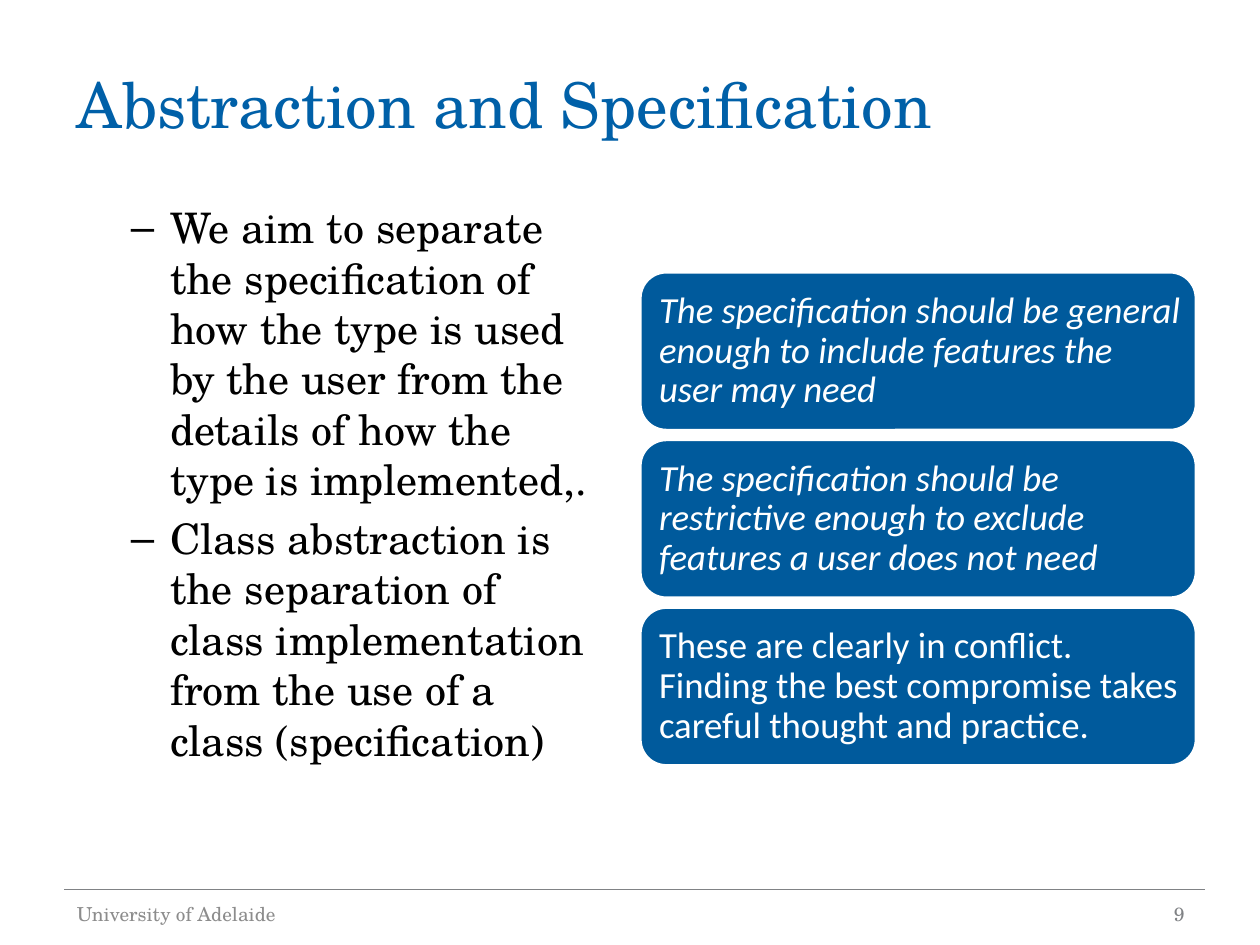
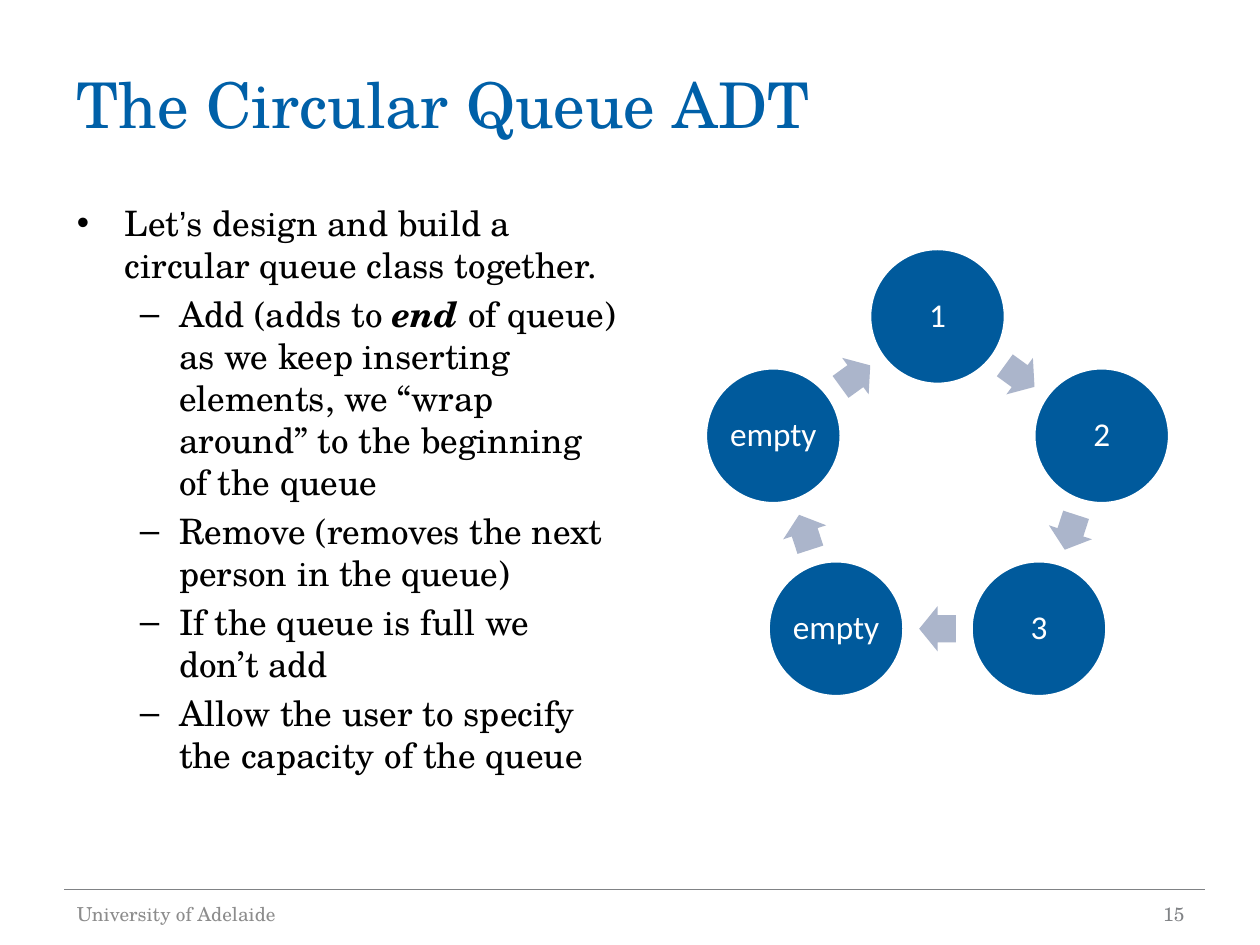
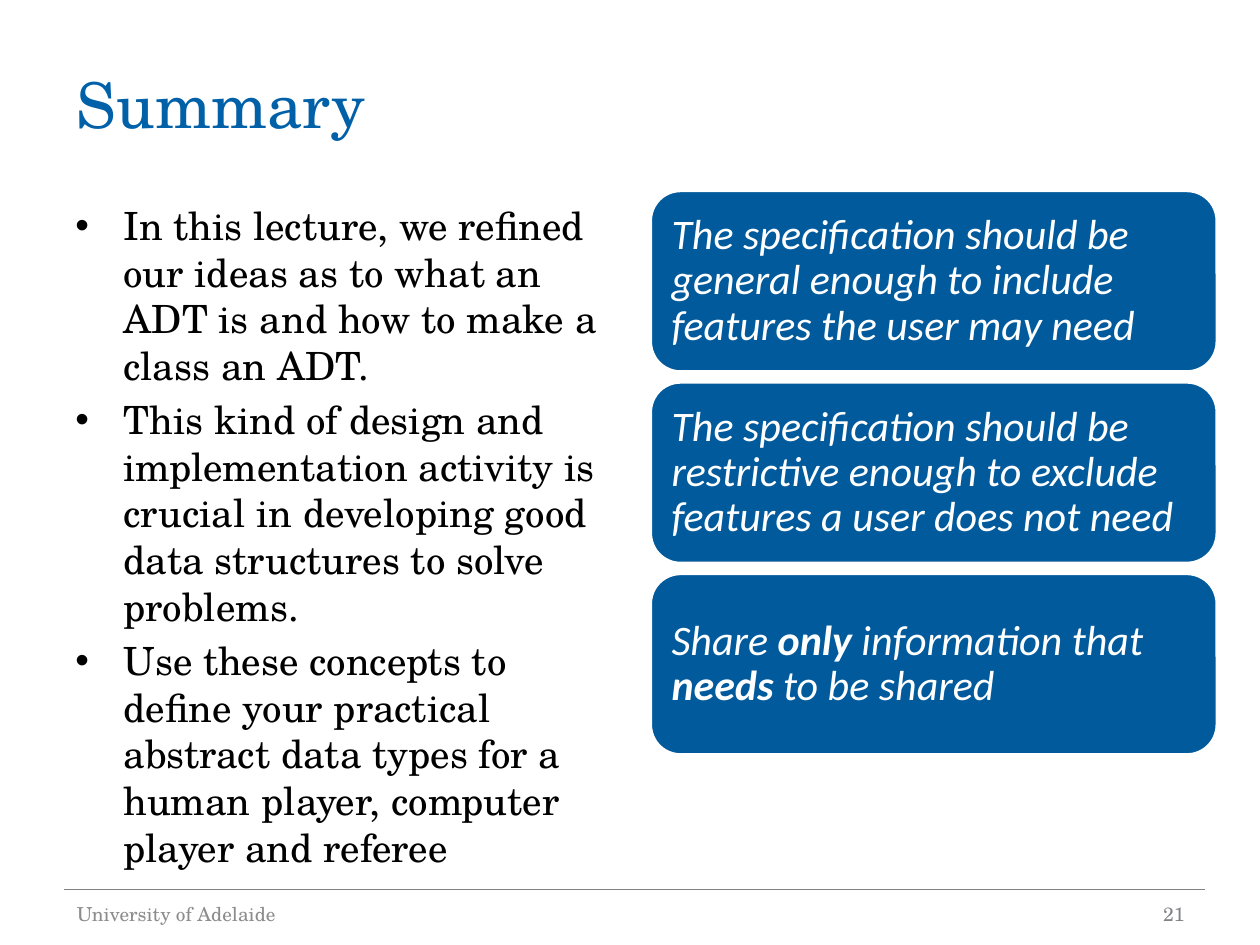
import dataclasses
import math

import pptx
import pptx.dml.color
import pptx.enum.shapes
import pptx.enum.text
import pptx.util
from lxml import etree

Cm = pptx.util.Cm
Pt = pptx.util.Pt
Shape = pptx.enum.shapes.MSO_SHAPE
Align = pptx.enum.text.PP_ALIGN
Anchor = pptx.enum.text.MSO_ANCHOR
A = "{http://schemas.openxmlformats.org/drawingml/2006/main}"


def color(code):
    return pptx.dml.color.RGBColor.from_string(code)


@dataclasses.dataclass(frozen=True)
class Theme:
    serif: str = "TeX Gyre Schola"
    sans: str = "Calibri"
    quote: str = "Arial"
    title: str = "0060A8"
    fill: str = "005A9C"
    arrow: str = "ABB5CB"
    rule: str = "808285"
    foot: str = "8C8C8C"
    ink: str = "000000"
    white: str = "FFFFFF"
    head: float = 36
    small: float = 11
    node: float = 19
    edge: float = 2
    tight: float = 0.9


LEVELS = {"•": (0.97, -0.97), "–": (2.06, -0.79)}


class Deck:
    def __init__(self, theme):
        self.theme = theme
        self.show = pptx.Presentation()
        self.show.slide_width = Cm(25.4)
        self.show.slide_height = Cm(19.05)
        self.slide = None

    def page(self, title, number):
        t = self.theme
        self.slide = self.show.slides.add_slide(self.show.slide_layouts[6])
        self.rule(1.3, 24.3, 17.93)
        self.label(title, (1.3, 0.91, 22.86, 2.36), t.head, t.title)
        self.label("University of Adelaide", (1.3, 17.91, 8.05, 1.02), t.small, t.foot)
        self.label(number, (18.21, 17.91, 5.92, 1.02), t.small, t.rule, Align.RIGHT)

    def rule(self, left, right, top):
        kind = pptx.enum.shapes.MSO_CONNECTOR.STRAIGHT
        line = self.slide.shapes.add_connector(kind, Cm(left), Cm(top), Cm(right), Cm(top))
        line.line.color.rgb = color(self.theme.rule)
        line.line.width = Pt(0.75)
        etree.SubElement(line._element.spPr, A + "effectLst")

    def frame(self, box):
        frame = self.slide.shapes.add_textbox(*map(Cm, box)).text_frame
        frame.word_wrap = True
        return frame

    def fill(self, para, runs, size, ink, face):
        for text, marks in runs:
            run = para.add_run()
            run.text = text
            font = run.font
            font.size = Pt(size)
            font.name = self.theme.quote if "q" in marks else face
            font.color.rgb = color(ink)
            font.bold = "b" in marks
            font.italic = "i" in marks

    def label(self, text, box, size, ink, align=Align.LEFT):
        frame = self.frame(box)
        frame.vertical_anchor = Anchor.MIDDLE
        para = frame.paragraphs[0]
        para.alignment = align
        self.fill(para, [(text, "")], size, ink, self.theme.serif)

    def points(self, box, size, items):
        frame = self.frame(box)
        for i, (mark, runs) in enumerate(items):
            para = frame.add_paragraph() if i else frame.paragraphs[0]
            left, hang = LEVELS[mark]
            props = para._p.get_or_add_pPr()
            props.set("marL", str(Cm(left)))
            props.set("indent", str(Cm(hang)))
            etree.SubElement(props, A + "buFont", typeface="Arial")
            etree.SubElement(props, A + "buChar", char=mark)
            para.space_before = Pt(round(size * 0.2, 1) if i else 0)
            self.fill(para, runs, size, self.theme.ink, self.theme.serif)

    def shape(self, kind, box, fill):
        shape = self.slide.shapes.add_shape(kind, *map(Cm, box))
        shape.shadow.inherit = False
        shape.fill.solid()
        shape.fill.fore_color.rgb = color(fill)
        shape.line.fill.background()
        return shape

    def block(self, kind, box, runs, size, pad, align):
        t = self.theme
        shape = self.shape(kind, box, t.fill)
        shape.line.color.rgb = color(t.white)
        shape.line.width = Pt(t.edge)
        frame = shape.text_frame
        frame.vertical_anchor = Anchor.MIDDLE
        frame.margin_left = frame.margin_top = frame.margin_bottom = Cm(pad)
        frame.margin_right = Cm(pad * 0.6)
        para = frame.paragraphs[0]
        para.alignment = align
        para.line_spacing = t.tight
        self.fill(para, runs, size, t.white, t.sans)
        return frame

    def cards(self, box, step, size, pad, texts):
        left, top, width, high = box
        for i, runs in enumerate(texts):
            place = (left, top + i * step, width, high)
            frame = self.block(Shape.ROUNDED_RECTANGLE, place, runs, size, pad, Align.LEFT)
            frame.word_wrap = True

    def ring(self, mid, radius, names):
        step = 360 / len(names)
        size, wide, high = 2.74, 0.74, 0.91
        inner = radius * math.cos(math.radians(step / 2))

        def spot(turn, reach, w, h):
            angle = math.radians(turn - 90)
            x = mid[0] + reach * math.cos(angle)
            y = mid[1] + reach * math.sin(angle)
            return x - w / 2, y - h / 2, w, h

        for i, name in enumerate(names):
            turn = i * step
            place = spot(turn, radius, size, size)
            frame = self.block(Shape.OVAL, place, [(name, "")], self.theme.node, 0, Align.CENTER)
            frame.word_wrap = False
            turn += step / 2
            arrow = self.shape(Shape.RIGHT_ARROW, spot(turn, inner, wide, high), self.theme.arrow)
            arrow.adjustments[0] = 0.6
            arrow.adjustments[1] = 0.5
            arrow.rotation = turn


WIDE = [("The specification should be general enough to include features the user may need", "i")]
NARROW = [("The specification should be restrictive enough to exclude features a user does not need", "i")]


def main():
    deck = Deck(Theme())

    deck.page("Abstraction and Specification", "9")
    deck.points((1.12, 3.94, 11.23, 13.08), 24, [
        ("–", [("We aim to separate the specification of how the type is used by the user "
                "from the details of how the type is implemented,.", "")]),
        ("–", [("Class abstraction is the separation of class implementation "
                "from the use of a class (specification)", "")]),
    ])
    deck.cards((12.9, 5.48, 11.22, 3.2), 3.38, 21, 0.23, [
        WIDE,
        NARROW,
        [("These are clearly in conflict. Finding the best compromise takes "
          "careful thought and practice.", "")],
    ])

    deck.page("The Circular Queue ADT", "15")
    deck.points((1.3, 3.94, 11.42, 13.08), 20, [
        ("•", [("Let", ""), ("’", "q"),
               ("s design and build a circular queue class together.", "")]),
        ("–", [("Add (adds to ", ""), ("end", "bi"),
               (" of queue) as we keep inserting elements, we “wrap around” "
                "to the beginning of the queue", "")]),
        ("–", [("Remove (removes the next person in the queue)", "")]),
        ("–", [("If the queue is full we don’t add", "")]),
        ("–", [("Allow the user to specify the capacity of the queue", "")]),
    ])
    deck.ring((18.9, 9.86), 3.48, ["1", "2", "3", "empty", "empty"])

    deck.page("Summary", "21")
    deck.points((1.27, 3.94, 11.02, 13.08), 22.2, [
        ("•", [("In this lecture, we refined our ideas as to what an ADT is "
                "and how to make a class an ADT.", "")]),
        ("•", [("This kind of design and implementation activity is crucial in "
                "developing good data structures to solve problems.", "")]),
        ("•", [("Use these concepts to define your practical abstract data types "
                "for a human player, computer player and referee", "")]),
    ])
    deck.cards((13.11, 3.84, 11.43, 3.66), 3.86, 24, 0.25, [
        WIDE,
        NARROW,
        [("Share ", "i"), ("only", "bi"), (" information that ", "i"),
         ("needs", "bi"), (" to be shared", "i")],
    ])

    deck.show.save("out.pptx")


if __name__ == "__main__":
    main()
